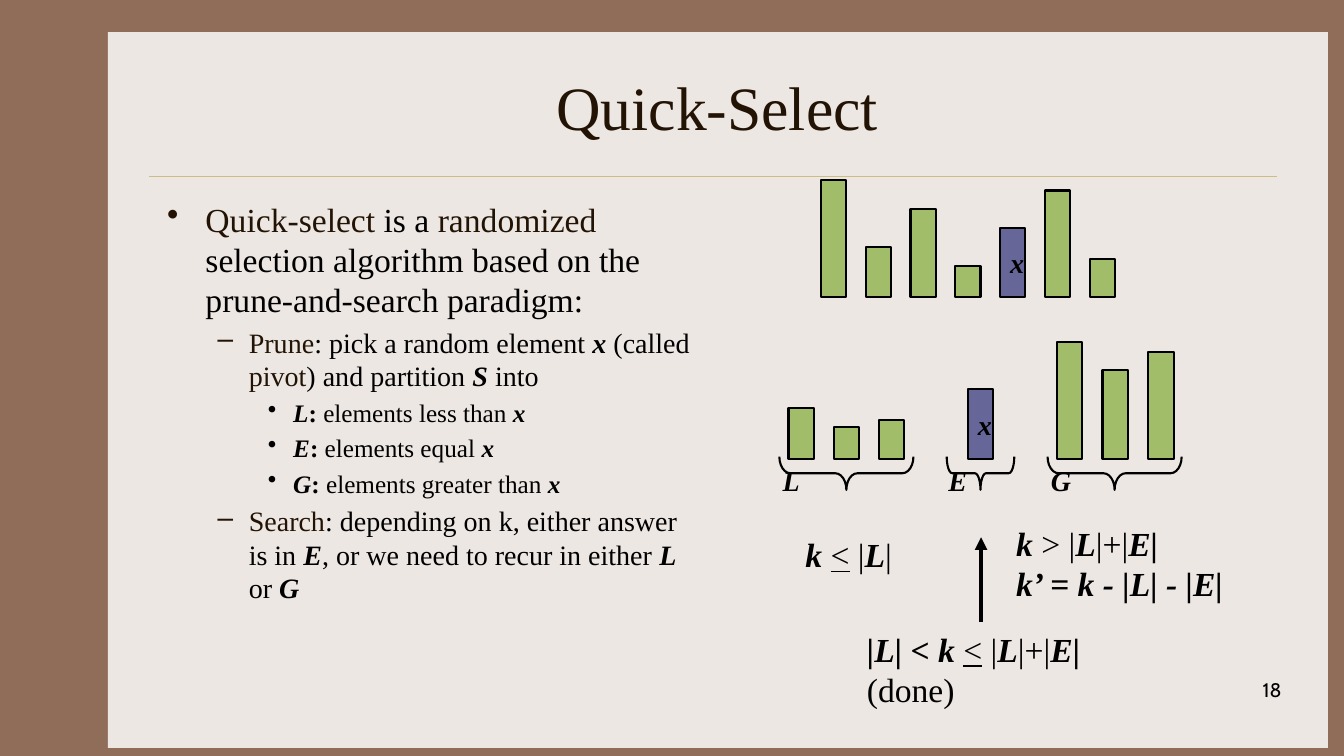
from lxml.etree import SubElement
from pptx import Presentation
from pptx.dml.color import RGBColor
from pptx.enum.shapes import MSO_CONNECTOR, MSO_SHAPE as Preset
from pptx.enum.text import MSO_ANCHOR as Anchor, MSO_AUTO_SIZE as AutoSize, PP_ALIGN as Align
from pptx.oxml.ns import qn
from pptx.util import Inches, Pt

SERIF, SANS = "Times New Roman", "Cabin"
BROWN, PAPER, DARK, BLACK = "906D58", "EDE7E3", "221304", "000000"
GREEN, VIOLET, GOLD = "A1BD69", "666699", "CBBD83"

LEVELS = [("•", 0.38, 0.38, 24), ("–", 0.81, 0.31, 20), ("•", 1.25, 0.25, 18)]
OUTLINE = [
    (0, [("Quick-select", "d"), (" is a ", ""), ("randomized", "d"),
         (" selection algorithm based on the prune-and-search paradigm:", "")]),
    (1, [("Prune", "d"), (": pick a random element ", ""), ("x", "bi"), (" (called ", ""),
         ("pivot", "d"), (") and partition ", ""), ("S", "bi"), (" into", "")]),
    (2, [("L", "bi"), (": ", "b"), ("elements less than ", ""), ("x", "bi")]),
    (2, [("E", "bi"), (": ", "b"), ("elements equal ", ""), ("x", "bi")]),
    (2, [("G", "bi"), (": ", "b"), ("elements greater than ", ""), ("x", "bi")]),
    (1, [("Search", "d"), (": depending on k, either answer is in ", ""), ("E", "bi"),
         (", or we need to recur in either ", ""), ("L ", "bi"), ("or ", ""), ("G", "bi")]),
]
CASES = [
    ((7.89, 5.25, 1.06, 0.5),
     [[("k ", "bi"), ("<", "u"), (" |", ""), ("L", "bi"), ("|", "")]]),
    ((8.5, 6.18, 2.33, 0.91),
     [[("|L| < k ", "bi"), ("<", "u"), (" |", ""), ("L", "bi"), ("|+|", ""), ("E|", "bi")],
      [("(done)", "")]]),
    ((9.98, 5.13, 2.27, 0.91),
     [[("k ", "bi"), ("> |", ""), ("L", "bi"), ("|+|", ""), ("E|", "bi")],
      [("k’ = k - |L| - |E|", "bi")]]),
]
PIVOT_HEIGHT, BAR_WIDTH = 0.69, 0.25
BAR_ROWS = [
    (8.14, 0.445, 2.95, [1.16, 0.5, 0.88, 0.31, PIVOT_HEIGHT, 1.06, 0.38]),
    (7.82, 0.45, 4.55, [0.5, 0.31, 0.38]),
    (9.6, 0.45, 4.55, [PIVOT_HEIGHT]),
    (10.48, 0.455, 4.55, [1.16, 0.88, 1.06]),
]
BRACE_DEPTH, BRACE_MIDDLE, BRACE_START, BRACE_STEP = 0.33, 4.695, 8.395, 1.33
BRACES = [("L", 1.33, 0.333), ("E", 0.67, 0.167), ("G", 1.33, 0.333)]


def color(value):
    return RGBColor.from_string(value)


def add_spans(para, spans, size, face=SERIF, ink=BLACK):
    for words, style in spans:
        span = para.add_run()
        span.text = words
        font = span.font
        font.name, font.size = face, Pt(size)
        font.bold, font.italic, font.underline = ("b" in style, "i" in style, "u" in style)
        font.color.rgb = color(DARK if "d" in style else ink)


def add_box(page, place, anchor=Anchor.TOP, wrap=True):
    frame = page.shapes.add_textbox(*map(Inches, place)).text_frame
    frame.word_wrap, frame.vertical_anchor = wrap, anchor
    return frame


def add_figure(page, preset, place, fill=None, line=None):
    figure = page.shapes.add_shape(preset, *map(Inches, place))
    figure.shadow.inherit = False
    if fill:
        figure.fill.solid()
        figure.fill.fore_color.rgb = color(fill)
    else:
        figure.fill.background()
    if line:
        figure.line.color.rgb, figure.line.width = color(line), Pt(1.5)
    else:
        figure.line.fill.background()
    return figure


def add_line(page, start, end, ink, width):
    line = page.shapes.add_connector(
        MSO_CONNECTOR.STRAIGHT, *map(Inches, start + end))
    line.line.color.rgb, line.line.width = color(ink), Pt(width)
    SubElement(line._element.spPr, qn("a:effectLst"))
    return line


def add_label(figure, letter, anchor):
    frame = figure.text_frame
    frame.word_wrap, frame.vertical_anchor = False, anchor
    para = frame.paragraphs[0]
    para.alignment = Align.LEFT
    add_spans(para, [(letter, "bi")], 20)
    return frame


def add_outline(page):
    frame = add_box(page, (1.56, 1.92, 5.44, 4.5))
    for row, (level, spans) in enumerate(OUTLINE):
        bullet, margin, hang, size = LEVELS[level]
        para = frame.add_paragraph() if row else frame.paragraphs[0]
        para.level = level
        properties = para._p.get_or_add_pPr()
        properties.set("marL", str(Inches(margin)))
        properties.set("indent", str(-Inches(hang)))
        SubElement(properties, qn("a:buChar")).set("char", bullet)
        if row:
            para.space_before = Pt(size * 0.2)
        add_spans(para, spans, size)


def add_bars(page):
    for left, pitch, base, heights in BAR_ROWS:
        for column, height in enumerate(heights):
            pivot = height == PIVOT_HEIGHT
            place = (left + column * pitch, base - height, BAR_WIDTH, height)
            bar = add_figure(page, Preset.RECTANGLE, place, VIOLET if pivot else GREEN, BLACK)
            if pivot:
                add_label(bar, "x", Anchor.MIDDLE)


def add_braces(page):
    for column, (letter, width, curve) in enumerate(BRACES):
        center = BRACE_START + column * BRACE_STEP
        place = (center - BRACE_DEPTH / 2, BRACE_MIDDLE - width / 2, BRACE_DEPTH, width)
        brace = add_figure(page, Preset.LEFT_BRACE, place, line=BLACK)
        brace.rotation = 270
        brace.adjustments[0], brace.adjustments[1] = curve, 0.5
        frame = add_label(brace, letter, Anchor.TOP)
        frame.margin_left, frame.margin_right = Inches(0.1), Inches(0.6)
        frame.margin_top = frame.margin_bottom = 0
        frame._txBody.bodyPr.set("vert", "eaVert")


def add_cases(page):
    for place, lines in CASES:
        frame = add_box(page, place, Anchor.MIDDLE, wrap=False)
        frame.auto_size = AutoSize.SHAPE_TO_FIT_TEXT
        for row, spans in enumerate(lines):
            para = frame.add_paragraph() if row else frame.paragraphs[0]
            add_spans(para, spans, 24)


def main():
    deck = Presentation()
    deck.slide_width, deck.slide_height = Inches(13.33), Inches(7.5)
    page = deck.slides.add_slide(deck.slide_layouts[6])
    page.background.fill.solid()
    page.background.fill.fore_color.rgb = color(BROWN)
    add_figure(page, Preset.RECTANGLE, (1.07, 0.32, 12.1, 7.1), PAPER)
    add_line(page, (1.48, 1.75), (12.67, 1.75), GOLD, 0.25)

    title = add_box(page, (1.56, 0.42, 11.11, 1.25), Anchor.MIDDLE).paragraphs[0]
    title.alignment = Align.CENTER
    add_spans(title, [("Quick-Select", "d")], 44)
    add_outline(page)
    number = add_box(page, (10.03, 6.68, 2.78, 0.5)).paragraphs[0]
    number.alignment = Align.RIGHT
    add_spans(number, [("18", "")], 14, SANS)

    add_bars(page)
    add_braces(page)
    add_cases(page)
    arrow = add_line(page, (9.73, 6.17), (9.73, 5.33), BLACK, 3)
    SubElement(arrow.line._get_or_add_ln(), qn("a:tailEnd")).set("type", "triangle")
    deck.save("out.pptx")


if __name__ == "__main__":
    main()
